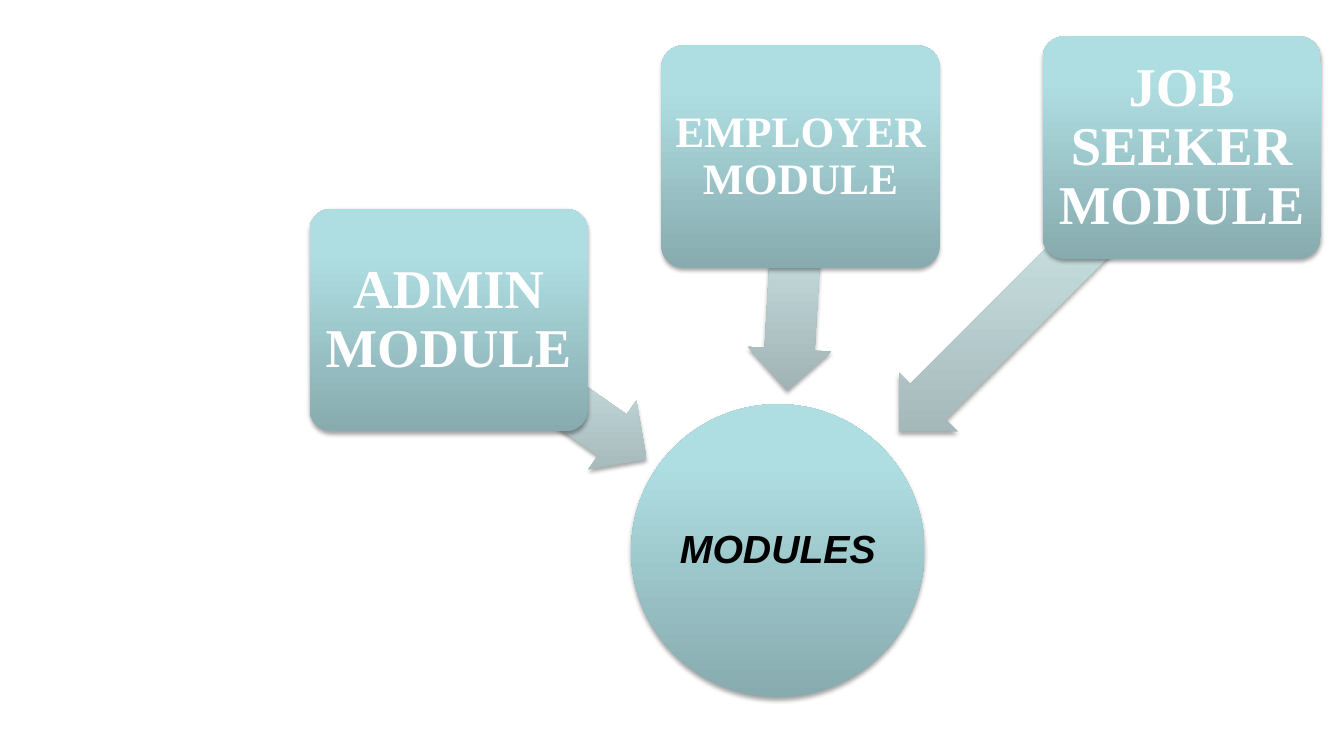
from pptx import Presentation
from pptx.dml.color import RGBColor
from pptx.enum import shapes, text
from pptx.oxml import parse_xml
from pptx.oxml.ns import nsdecls
from pptx.util import Inches, Pt

MODULE_STOPS = [(0, "87ABAE"), (80, "AFDEE2"), (100, "AFE0E4")]
ARROW_STOPS = [(0, "A0B3B4"), (80, "D0E8EA"), (100, "D0EAEC")]
MODULE_WIDTH, MODULE_HEIGHT = 2.76, 2.21
ARROW_HEIGHT = 0.83


def add_shaded_shape(kind, left, top, width, height, stops):
    """Add a borderless shape, shaded darker towards its foot, with a soft shadow."""
    shape = slide.shapes.add_shape(
        kind, Inches(left), Inches(top), Inches(width), Inches(height))
    shape.line.fill.background()
    shape.shadow.inherit = False
    properties = shape.element.spPr
    stop_xml = "".join(
        f'<a:gs pos="{position * 1000}"><a:srgbClr val="{color}"/></a:gs>'
        for position, color in stops)
    gradient = parse_xml(
        f'<a:gradFill {nsdecls("a")} rotWithShape="0"><a:gsLst>{stop_xml}</a:gsLst>'
        '<a:lin ang="16200000" scaled="0"/></a:gradFill>')
    properties.find("{*}ln").addprevious(gradient)
    shadow = parse_xml(
        f'<a:outerShdw {nsdecls("a")} blurRad="{Pt(3.1)}" dist="{Pt(1.8)}" '
        'dir="5400000" rotWithShape="0"><a:srgbClr val="000000">'
        '<a:alpha val="35000"/></a:srgbClr></a:outerShdw>')
    properties.find("{*}effectLst").append(shadow)
    return shape


def write_label(shape, label, size, font_name, color, inset, italic=None):
    frame = shape.text_frame
    frame.word_wrap = True
    frame.vertical_anchor = text.MSO_ANCHOR.MIDDLE
    frame.margin_left = frame.margin_right = Inches(inset)
    frame.margin_top = frame.margin_bottom = Inches(inset)
    paragraph = frame.paragraphs[0]
    paragraph.alignment = text.PP_ALIGN.CENTER
    paragraph.line_spacing = 0.9
    run = paragraph.add_run()
    run.text = label
    run.font.name = font_name
    run.font.size = Pt(size)
    run.font.bold = True
    run.font.italic = italic
    run.font.color.rgb = RGBColor.from_string(color)


presentation = Presentation()
presentation.slide_width = Inches(13.33)
presentation.slide_height = Inches(7.5)
slide = presentation.slides.add_slide(presentation.slide_layouts[6])

hub = add_shaded_shape(
    shapes.MSO_SHAPE.OVAL, 6.26, 4.01, 2.91, 2.91, MODULE_STOPS)
write_label(hub, "MODULES", 28, "Arial", "000000", 0.02, italic=True)

# label, font size, inset, module left and top, arrow left, top, width and rotation
modules = [
    ("ADMIN MODULE", 39, 0.08, 3.07, 2.07, 4.23, 3.45, 2.4, 215),
    ("EMPLOYER MODULE", 31, 0.06, 6.56, 0.45, 6.71, 2.3, 2.33, 273.3),
    ("JOB SEEKER MODULE", 39, 0.08, 10.34, 0.36, 8.33, 2.46, 3.97, 315),
]
for (label, size, inset, left, top,
     arrow_left, arrow_top, arrow_width, rotation) in modules:
    arrow = add_shaded_shape(
        shapes.MSO_SHAPE.LEFT_ARROW, arrow_left, arrow_top,
        arrow_width, ARROW_HEIGHT, ARROW_STOPS)
    arrow.adjustments[0] = 0.6
    arrow.adjustments[1] = 0.5
    arrow.rotation = rotation

    module = add_shaded_shape(
        shapes.MSO_SHAPE.ROUNDED_RECTANGLE, left, top,
        MODULE_WIDTH, MODULE_HEIGHT, MODULE_STOPS)
    module.adjustments[0] = 0.1
    write_label(module, label, size, "Times New Roman", "FFFFFF", inset)

presentation.save("out.pptx")
